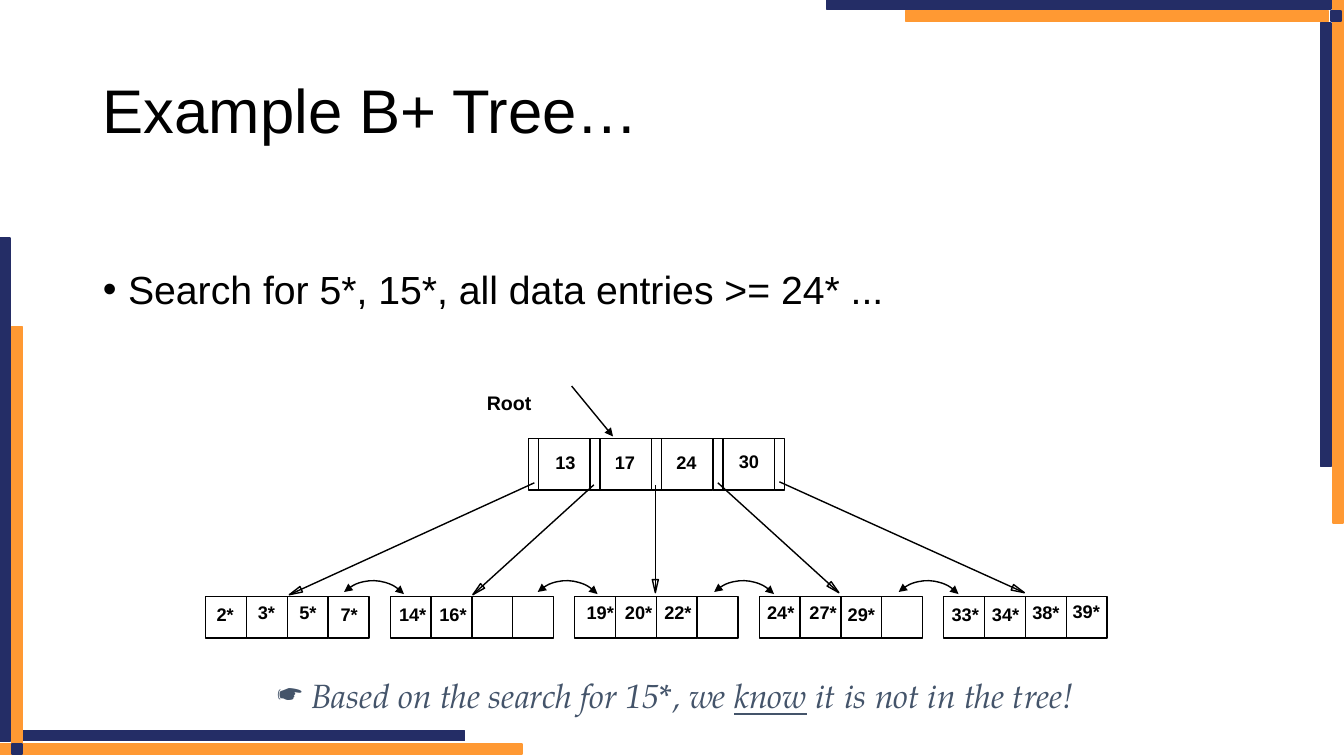
"""Build the B+ tree search example slide."""
from dataclasses import dataclass
from math import hypot

from lxml.etree import SubElement
from pptx import Presentation
from pptx.dml.color import RGBColor
from pptx.enum.shapes import MSO_CONNECTOR as Connector, MSO_SHAPE as Preset
from pptx.enum.text import MSO_ANCHOR as Anchor, MSO_AUTO_SIZE as AutoSize, PP_ALIGN as Align
from pptx.oxml.ns import qn
from pptx.shapes.base import BaseShape
from pptx.slide import Slide
from pptx.text.text import TextFrame
from pptx.util import Inches, Pt

BLACK = RGBColor(0x00, 0x00, 0x00)
NAVY = RGBColor(0x24, 0x2D, 0x66)
ORANGE = RGBColor(0xFF, 0x99, 0x33)
SLATE = RGBColor(0x44, 0x54, 0x6A)

ROOT_LEFT, ROOT_TOP, ROOT_HEIGHT = 5.24, 4.35, 0.51
KEY_PITCH, POINTER_WIDTH = 0.61, 0.1
LEAF_LEFT, LEAF_TOP, LEAF_PITCH = 2.04, 5.92, 1.83
LEAF_WIDTH, LEAF_HEIGHT, LEAF_SLOTS = 1.62, 0.41, 4
SIBLING_RADIUS, SIBLING_CENTRE_Y = 0.42, 6.18
HEAD_LENGTH, HEAD_HALF_WIDTH = 0.13, 0.03


@dataclass(frozen=True)
class Bar:
    left: float
    top: float
    width: float
    height: float
    color: RGBColor


@dataclass(frozen=True)
class Label:
    text: str
    left: float
    top: float
    width: float = 0.47
    height: float = 0.32
    size: int = 13


@dataclass(frozen=True)
class Pointer:
    x1: float
    y1: float
    x2: float
    y2: float


BARS = (
    Bar(13.22, -0.01, 0.1, 5.2, ORANGE),
    Bar(13.1, 0.23, 0.1, 4.4, NAVY),
    Bar(8.2, -0.01, 5, 0.1, NAVY),
    Bar(8.98, 0.11, 4.2, 0.1, ORANGE),
    Bar(13.2, 0.11, 0.1, 0.1, NAVY),
    Bar(-0.02, 7.38, 5.2, 0.1, ORANGE),
    Bar(0.21, 7.25, 4.4, 0.1, NAVY),
    Bar(0, 2.36, 0.1, 5, NAVY),
    Bar(0.12, 3.24, 0.1, 4.2, ORANGE),
    Bar(0.12, 7.38, 0.1, 0.1, NAVY),
)
LABELS = (
    Label("Root", 4.73, 3.83, 0.65, 0.33, 14),
    Label("13", 5.41, 4.43, 0.4), Label("17", 6, 4.43, 0.4),
    Label("24", 6.61, 4.43, 0.4), Label("30", 7.23, 4.42, 0.4),
    Label("2*", 2.05, 5.94, 0.37), Label("3*", 2.46, 5.92, 0.37),
    Label("5*", 2.87, 5.92, 0.37), Label("7*", 3.28, 5.94, 0.37),
    Label("14*", 3.86, 5.94), Label("16*", 4.26, 5.94),
    Label("19*", 5.72, 5.92), Label("20*", 6.1, 5.92), Label("22*", 6.49, 5.92),
    Label("24*", 7.51, 5.92), Label("27*", 7.93, 5.92), Label("29*", 8.31, 5.94),
    Label("33*", 9.34, 5.94), Label("34*", 9.74, 5.94),
    Label("38*", 10.14, 5.92), Label("39*", 10.54, 5.91),
)
CHILD_POINTERS = (
    Pointer(5.3, 4.79, 2.87, 5.9),
    Pointer(5.89, 4.81, 4.69, 5.9),
    Pointer(6.5, 4.81, 6.5, 5.88),
    Pointer(7.12, 4.79, 8.32, 5.88),
    Pointer(7.73, 4.78, 10.16, 5.88),
)
ROOT_POINTER = Pointer(5.67, 3.83, 6.08, 4.33)
SIBLING_CENTRES = (3.7, 5.62, 7.37, 9.2)


def write(frame: TextFrame, text: str, *, size: float, font: str = "Arial",
          color: RGBColor = BLACK, bold: bool = False, italic: bool = False,
          underline: bool = False) -> None:
    """Append one formatted run to the first paragraph."""
    run = frame.paragraphs[0].add_run()
    run.text = text
    run.font.name, run.font.size = font, Pt(size)
    run.font.bold, run.font.italic, run.font.underline = bold, italic, underline
    run.font.color.rgb = color


def set_bullet(frame: TextFrame, char: str, indent: float = 0) -> None:
    """Give the first paragraph a bullet with a hanging indent."""
    properties = frame.paragraphs[0]._p.get_or_add_pPr()
    properties.set("marL", str(Inches(indent)))
    properties.set("indent", str(-Inches(indent)))
    SubElement(properties, qn("a:buChar")).set("char", char)


def place(shape: BaseShape, left: float, top: float, width: float, height: float) -> None:
    """Move and size a placeholder."""
    shape.left, shape.top = Inches(left), Inches(top)
    shape.width, shape.height = Inches(width), Inches(height)


def add_label_frame(slide: Slide, left: float, top: float, width: float,
                    height: float) -> TextFrame:
    """Add an unwrapped text box and return its frame."""
    frame = slide.shapes.add_textbox(
        Inches(left), Inches(top), Inches(width), Inches(height)).text_frame
    frame.word_wrap = False
    frame.auto_size = AutoSize.SHAPE_TO_FIT_TEXT
    return frame


def add_outline(slide: Slide, left: float, top: float, width: float, height: float,
                preset: Preset = Preset.RECTANGLE, color: RGBColor = BLACK) -> BaseShape:
    """Add an unfilled preset shape with a thin line."""
    shape = slide.shapes.add_shape(
        preset, Inches(left), Inches(top), Inches(width), Inches(height))
    shape.shadow.inherit = False
    shape.fill.background()
    shape.line.color.rgb, shape.line.width = color, Pt(1)
    return shape


def set_arrowheads(shape: BaseShape, *ends: str) -> None:
    """Put filled triangles on the named line ends."""
    for end in ends:
        SubElement(shape.line._get_or_add_ln(), qn(f"a:{end}")).set("type", "triangle")


def add_line(slide: Slide, x1: float, y1: float, x2: float, y2: float) -> BaseShape:
    """Add a thin black straight connector."""
    line = slide.shapes.add_connector(
        Connector.STRAIGHT, Inches(x1), Inches(y1), Inches(x2), Inches(y2))
    line.line.color.rgb, line.line.width = BLACK, Pt(1)
    SubElement(line._element.spPr, qn("a:effectLst"))
    return line


def add_child_pointer(slide: Slide, pointer: Pointer) -> None:
    """Add a line that ends in a hollow arrowhead."""
    add_line(slide, pointer.x1, pointer.y1, pointer.x2, pointer.y2)
    dx, dy = pointer.x2 - pointer.x1, pointer.y2 - pointer.y1
    ux, uy = dx / hypot(dx, dy), dy / hypot(dx, dy)
    base_x, base_y = pointer.x2 - HEAD_LENGTH * ux, pointer.y2 - HEAD_LENGTH * uy
    corners = [(Inches(base_x - side * uy), Inches(base_y + side * ux))
               for side in (HEAD_HALF_WIDTH, -HEAD_HALF_WIDTH)]
    outline = slide.shapes.build_freeform(Inches(pointer.x2), Inches(pointer.y2))
    outline.add_line_segments(corners, close=True)
    head = outline.convert_to_shape()
    head.shadow.inherit = False
    head.fill.background()
    head.line.color.rgb, head.line.width = BLACK, Pt(1)


def add_tree(slide: Slide) -> None:
    """Draw the root, the leaves, their pointers and their labels."""
    for key in range(4):
        left = ROOT_LEFT + key * KEY_PITCH
        add_outline(slide, left, ROOT_TOP, KEY_PITCH, ROOT_HEIGHT)
        divider = left + POINTER_WIDTH
        add_line(slide, divider, ROOT_TOP, divider, ROOT_TOP + ROOT_HEIGHT)
    add_outline(slide, ROOT_LEFT + 4 * KEY_PITCH, ROOT_TOP, POINTER_WIDTH, ROOT_HEIGHT)
    slot_width = LEAF_WIDTH / LEAF_SLOTS
    for leaf in range(5):
        for slot in range(LEAF_SLOTS):
            add_outline(slide, LEAF_LEFT + leaf * LEAF_PITCH + slot * slot_width,
                        LEAF_TOP, slot_width, LEAF_HEIGHT)
    for pointer in CHILD_POINTERS:
        add_child_pointer(slide, pointer)
    for label in LABELS:
        frame = add_label_frame(slide, label.left, label.top, label.width, label.height)
        write(frame, label.text, size=label.size, bold=True)
    root_arrow = add_line(slide, ROOT_POINTER.x1, ROOT_POINTER.y1,
                          ROOT_POINTER.x2, ROOT_POINTER.y2)
    set_arrowheads(root_arrow, "tailEnd")
    for centre in SIBLING_CENTRES:
        sibling = add_outline(slide, centre - SIBLING_RADIUS, SIBLING_CENTRE_Y - SIBLING_RADIUS,
                              2 * SIBLING_RADIUS, 2 * SIBLING_RADIUS, Preset.ARC)
        sibling.rotation = 317
        set_arrowheads(sibling, "headEnd", "tailEnd")


def main() -> None:
    """Build and save the slide."""
    deck = Presentation()
    deck.slide_width, deck.slide_height = Inches(13.33), Inches(7.5)
    slide = deck.slides.add_slide(deck.slide_layouts[1])
    for bar in BARS:
        stripe = add_outline(slide, bar.left, bar.top, bar.width, bar.height, color=bar.color)
        stripe.fill.solid()
        stripe.fill.fore_color.rgb = bar.color

    title, search = slide.shapes.title, slide.placeholders[1]
    place(title, 0.92, 0.4, 11.5, 1.45)
    place(search, 0.92, 2, 11.5, 4.76)
    for holder, text, size in ((title, "Example B+ Tree…", 44),
                               (search, "Search for 5*, 15*, all data entries >= 24* ...", 28)):
        frame = holder.text_frame
        frame.auto_size = AutoSize.NONE
        frame.paragraphs[0].alignment = Align.LEFT
        frame.paragraphs[0].line_spacing = 0.9
        frame.paragraphs[0].space_before = Pt(0)
        write(frame, text, size=size)
    title.text_frame.vertical_anchor = Anchor.MIDDLE
    search.text_frame.margin_top = Inches(0.68)
    set_bullet(search.text_frame, "•", 0.25)

    verdict = add_label_frame(slide, 2.65, 6.65, 8.36, 0.5)
    set_bullet(verdict, "☛")
    for text, italic, underline in ((" ", False, False),
                                    ("Based on the search for 15*, we ", True, False),
                                    ("know", True, True),
                                    (" it is not in the tree!", True, False)):
        write(verdict, text, size=24, font="TeX Gyre Pagella", color=SLATE,
              italic=italic, underline=underline)
    add_tree(slide)
    deck.save("out.pptx")


if __name__ == "__main__":
    main()
